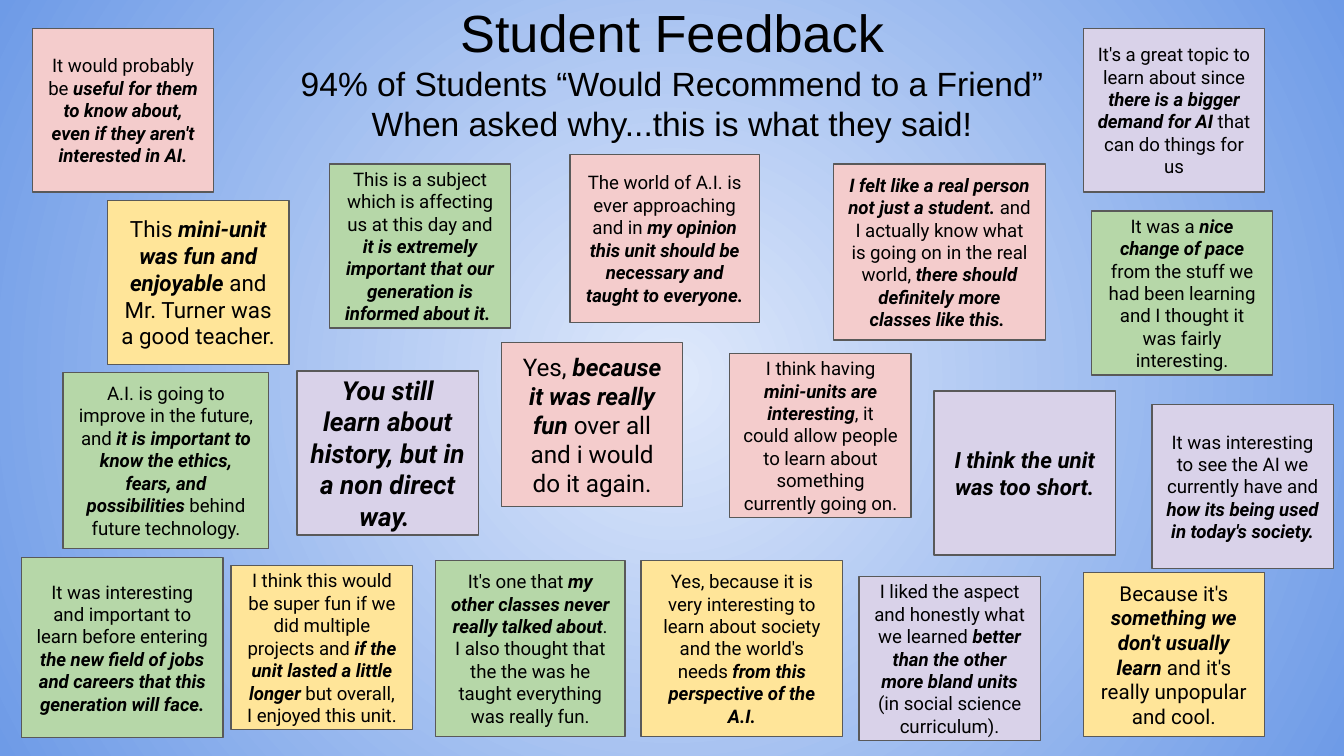
from pptx import Presentation
from pptx.dml.color import RGBColor
from pptx.enum.shapes import MSO_SHAPE
from pptx.enum.text import MSO_ANCHOR, PP_ALIGN
from pptx.oxml import parse_xml
from pptx.oxml.ns import nsdecls
from pptx.util import Inches, Pt

PINK, YELLOW, GREEN, PURPLE = "F4CCCC", "FFE599", "B6D7A8", "D9D2E9"
BLACK, GRAY = "000000", "595959"
CENTER_BLUE, EDGE_BLUE = "DFE9FB", "6E9BE7"

NOTES = [
    (0.8, 1.49, YELLOW, "This *mini-unit was fun and enjoyable* and Mr. Turner was a good teacher. ",
     dict(size=12)),
    (2.21, 2.76, PURPLE, "*You still learn about history, but in a non direct way. *", dict(size=14)),
    (0.47, 2.77, GREEN, "A.I. is going to improve in the future, and *it is important to know the "
     "ethics, fears, and possibilities* behind future technology.", dict(width=1.53, height=1.31)),
    (4.24, 1.15, PINK, "The world of A.I. is ever approaching and in *my opinion this unit should be "
     "necessary and taught to everyone.*", dict(width=1.41, height=1.25)),
    (1.72, 4.21, YELLOW, "I think this would be super fun if we did multiple projects and *if the unit "
     "lasted a little longer *but overall, I enjoyed this unit.", {}),
    (4.77, 4.17, YELLOW, "Yes, because it is very interesting to learn about society and the world's "
     "needs* from this perspective of the A.I.*", dict(width=1.5, height=1.31)),
    (8.06, 4.26, YELLOW, "Because it's *something we don't usually learn* and it's really unpopular "
     "and cool.", dict(size=11)),
    (6.39, 4.29, PURPLE, "I liked the aspect and honestly what we learned *better than the other more "
     "bland units* (in social science curriculum).", {}),
    (8.06, 0.21, PURPLE, "It's a great topic to learn about since *there is a bigger demand for AI* "
     "that can do things for us", {}),
    (6.95, 2.91, PURPLE, "*I think the unit was too short.*", dict(size=12)),
    (0.16, 4.15, GREEN, "It was interesting and important to learn before entering *the new field of "
     "jobs and careers that this generation will face.*", dict(width=1.5, height=1.34)),
    (2.45, 1.22, GREEN, "This is a subject which is affecting us at this day and *it is extremely "
     "important that our generation is informed about it. *", {}),
    (3.24, 4.17, GREEN, "It's one that *my other classes never really talked about*. I also thought "
     "that the the was he taught everything was really fun.", dict(width=1.41, height=1.31)),
    (8.12, 1.57, GREEN, "It was a *nice change of pace* from the stuff we had been learning and I "
     "thought it was fairly interesting.", {}),
    (3.73, 2.55, PINK, "Yes, *because it was really fun* over all and i would do it again.",
     dict(size=13)),
    (0.24, 0.21, PINK, "It would probably be *useful for them to know about, even if they aren't "
     "interested in AI.*", {}),
    (6.2, 1.22, PINK, "*I felt like a real person not just a student.* and I actually know what is "
     "going on in the real world, *there should definitely more classes like this. *",
     dict(width=1.58, height=1.31)),
    (5.43, 2.63, PINK, "I think having *mini-units are interesting*, it could allow people to learn "
     "about something currently going on.", {}),
    (8.57, 3.01, PURPLE, "It was interesting to see the AI we currently have and *how its being used "
     "in today's society.*", {}),
]


def color(value):
    return RGBColor.from_string(value)


def paint_background(page):
    fill = page.background.fill
    fill.gradient()
    for stop, value in zip(fill.gradient_stops, (CENTER_BLUE, EDGE_BLUE)):
        stop.color.rgb = color(value)
    gradient = page.background._cSld.bg.bgPr.gradFill
    gradient.remove(gradient.lin)
    gradient.append(parse_xml(
        f'<a:path {nsdecls("a")} path="circle">'
        '<a:fillToRect l="50000" t="50000" r="50000" b="50000"/></a:path>'))


def prepare_frame(frame, anchor):
    frame.word_wrap = True
    frame.vertical_anchor = anchor
    frame.margin_left = frame.margin_right = Inches(0.1)
    frame.margin_top = frame.margin_bottom = Inches(0.1)


def add_span(para, text, size=10, font="Roboto", strong=False):
    span = para.add_run()
    span.text = text
    span.font.size = Pt(size)
    span.font.name = font
    span.font.bold = span.font.italic = strong
    span.font.color.rgb = color(BLACK)


def add_heading(page, lines):
    box = page.shapes.add_textbox(Inches(0.34), Inches(-0.1), Inches(9.32), Inches(1.22))
    frame = box.text_frame
    prepare_frame(frame, MSO_ANCHOR.TOP)
    for index, (text, size) in enumerate(lines):
        para = frame.add_paragraph() if index else frame.paragraphs[0]
        para.alignment = PP_ALIGN.CENTER
        add_span(para, text, size=size, font="Arial")


def add_note(page, left, top, fill, text, width=1.35, height=1.22, size=10):
    note = page.shapes.add_shape(
        MSO_SHAPE.RECTANGLE, Inches(left), Inches(top), Inches(width), Inches(height))
    note.shadow.inherit = False
    note.fill.solid()
    note.fill.fore_color.rgb = color(fill)
    note.line.color.rgb = color(GRAY)
    note.line.width = Pt(0.75)
    prepare_frame(note.text_frame, MSO_ANCHOR.MIDDLE)
    para = note.text_frame.paragraphs[0]
    para.alignment = PP_ALIGN.CENTER
    for index, part in enumerate(text.split("*")):
        if part:
            add_span(para, part, size=size, strong=index % 2 == 1)


def main():
    deck = Presentation()
    deck.slide_width = Inches(10)
    deck.slide_height = Inches(10 * 9 / 16)
    page = deck.slides.add_slide(deck.slide_layouts[6])
    paint_background(page)
    add_heading(page, [
        ("Student Feedback", 28),
        ("94% of Students “Would Recommend to a Friend”", 18),
        ("When asked why...this is what they said!", 18),
    ])
    for left, top, fill, text, style in NOTES:
        add_note(page, left, top, fill, text, **style)
    deck.save("out.pptx")


if __name__ == "__main__":
    main()
